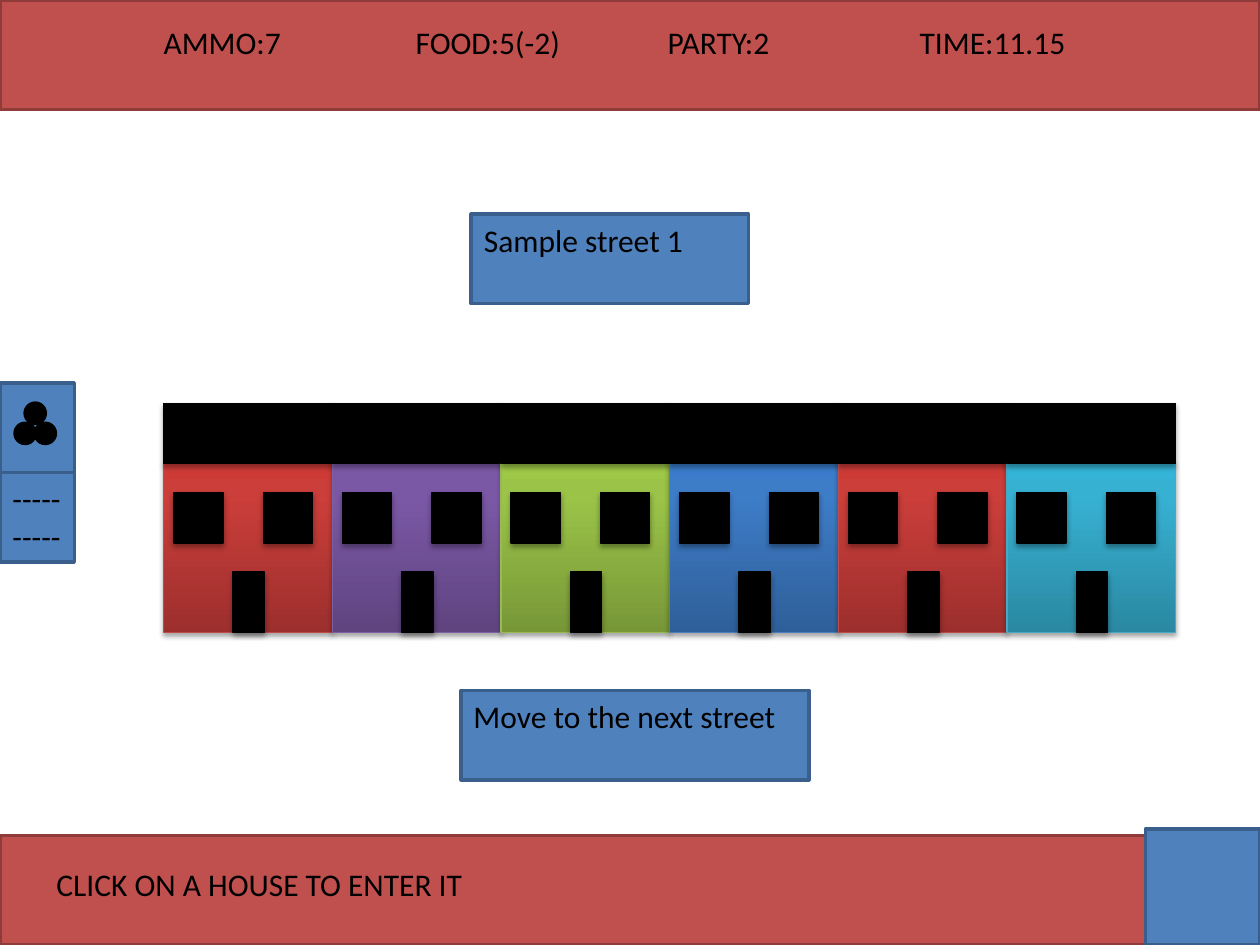
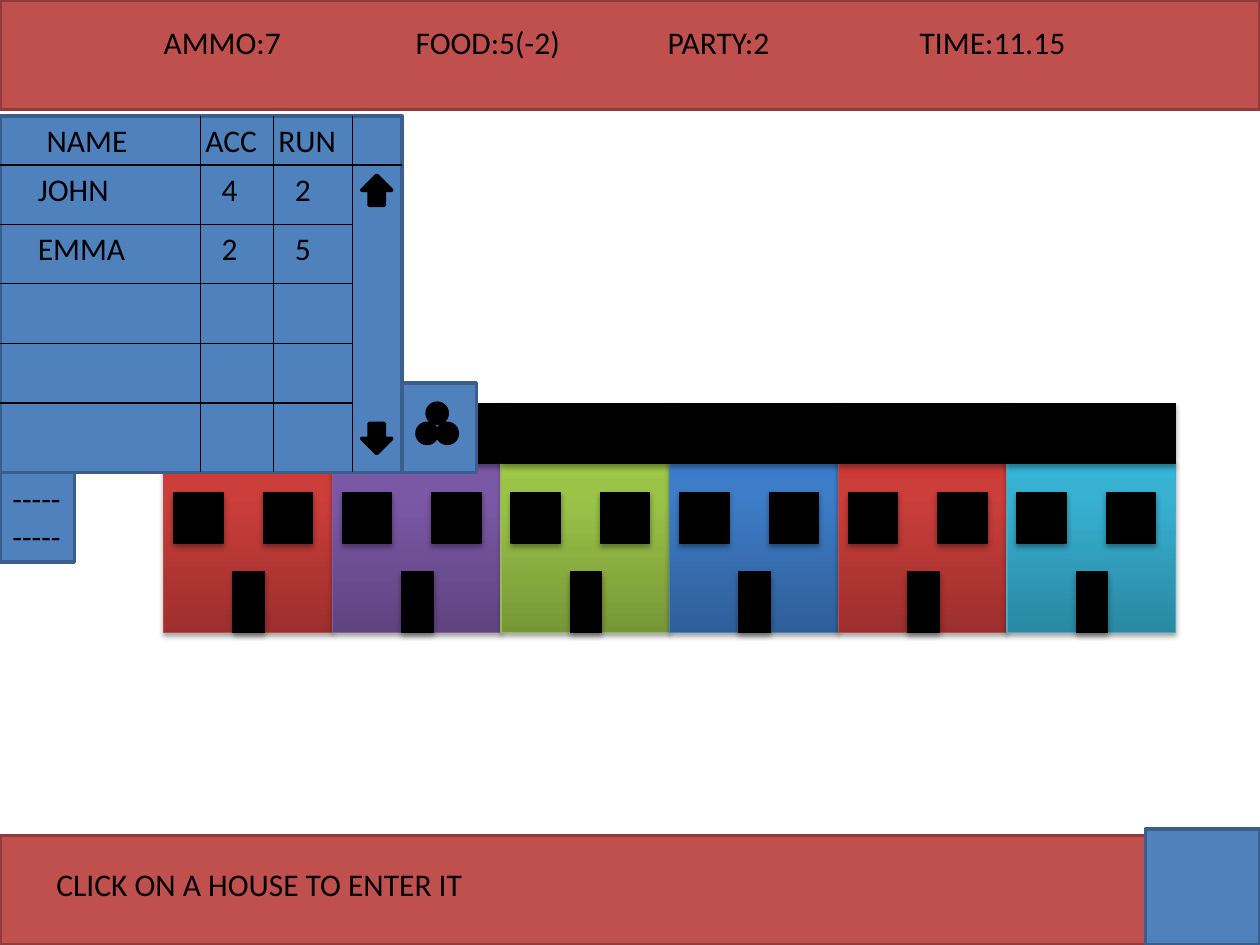
"""Two screens of a street game: the street, and the street with the party panel open."""
from dataclasses import dataclass

from lxml import etree
from pptx import Presentation
from pptx.dml.color import RGBColor
from pptx.enum.shapes import MSO_SHAPE
from pptx.enum.text import MSO_ANCHOR, MSO_AUTO_SIZE, PP_ALIGN
from pptx.oxml.ns import qn
from pptx.util import Inches, Pt

RECTANGLE, OVAL = MSO_SHAPE.RECTANGLE, MSO_SHAPE.OVAL
UP_ARROW, DOWN_ARROW = MSO_SHAPE.UP_ARROW, MSO_SHAPE.DOWN_ARROW
LEFT, TOP, NO_AUTOFIT = PP_ALIGN.LEFT, MSO_ANCHOR.TOP, MSO_AUTO_SIZE.NONE

SLIDE_WIDTH, SLIDE_HEIGHT = Inches(10), Inches(7.5)
GRID_COLUMNS, GRID_ROWS = 10, 7.5
TITLE_ONLY, BLANK = 5, 6
FONT, FONT_SIZE = "Calibri", 18
BLACK = "000000"


@dataclass(frozen=True)
class Box:
    """A place on the slide, in grid columns and rows."""
    left: float
    top: float
    width: float
    height: float

    def shifted(self, columns: float, rows: float = 0) -> "Box":
        """Return this box moved by columns and rows."""
        return Box(self.left + columns, self.top + rows, self.width, self.height)

    def lengths(self) -> tuple:
        """Return left, top, width and height as slide lengths."""
        return (across(self.left), down(self.top), across(self.width), down(self.height))


@dataclass(frozen=True)
class Style:
    """Fill, outline and outline width of a shape."""
    fill: str
    line: str
    weight: float = 2


@dataclass(frozen=True)
class Paint:
    """Wall colours of a house, from the ground up, and its outline."""
    ground: str
    upper: str
    eaves: str
    line: str


BAND = Style("C0504D", "8E3B39")
BUTTON = Style("4F81BD", "3A5F8C")
SYMBOL = Style(BLACK, BLACK)
HOUSE_PART = Style(BLACK, BLACK, 0.75)

RED = Paint("9C2F2D", "CB3E3A", "CE3B37", "BF4C48")
PURPLE = Paint("5F4480", "7B58A6", "7C57A8", "7D60A0")
GREEN = Paint("779737", "9BC348", "9DC746", "98B955")
BLUE = Paint("2F5F99", "3D7CC7", "3A7CCB", "4B7EBC")
TEAL = Paint("2A88A2", "37B1D2", "34B4D6", "46AAC5")
STREET = (RED, PURPLE, GREEN, BLUE, RED, TEAL)

# The first house; the others follow at a pitch of one wall
HOUSE_PITCH = 8.03 / len(STREET)
WALL = Box(1.3, 3.67, HOUSE_PITCH, 1.35)
HOUSE_PARTS = (
    Box(1.3, 3.2, HOUSE_PITCH, 0.48),  # roof
    Box(1.85, 4.54, 0.25, 0.48),  # door
    Box(2.09, 3.91, 0.39, 0.4),  # right window
    Box(1.38, 3.91, 0.39, 0.4),  # left window
)

BAND_HEIGHT = 0.87
PARTY_TAB = Box(0, 3.04, 0.59, 0.71)
LIST_TAB = PARTY_TAB.shifted(0, PARTY_TAB.height)
PANEL = Box(0, 0.92, 3.19, 2.83)
PANEL_COLUMNS = (1.59, 0.58, 0.63, 0.39)
PANEL_ROWS = (0.39, 0.47, 0.47, 0.48, 0.47, 0.55)
PARTY = (("NAME", "ACC", "RUN"), ("JOHN", "4", "2"), ("EMMA", "2", "5"))
HEADER_INDENTS = (0.37, 0.04, 0.04)
MEMBER_INDENTS = (0.3, 0.17, 0.17)
STATUS = ("AMMO:7", "FOOD:5(-2)", "PARTY:2", "TIME:11.15")


def across(columns: float) -> int:
    """Turn grid columns into a length."""
    return round(SLIDE_WIDTH * columns / GRID_COLUMNS)


def down(rows: float) -> int:
    """Turn grid rows into a length."""
    return round(SLIDE_HEIGHT * rows / GRID_ROWS)


def color(code: str) -> RGBColor:
    """Turn a hex string into a colour."""
    return RGBColor.from_string(code)


def add_element(parent, tag: str, **attributes):
    """Append a drawing element with the given attributes."""
    names = {name: str(value) for name, value in attributes.items()}
    return etree.SubElement(parent, qn(tag), names)


def add_color(parent, code: str):
    """Append a plain colour element."""
    return add_element(parent, "a:srgbClr", val=code)


def write(text_frame, text: str) -> None:
    """Set left-aligned black text in the common font."""
    text_frame.text = text
    text_frame.word_wrap = True
    for paragraph in text_frame.paragraphs:
        paragraph.alignment = LEFT
        for run in paragraph.runs:
            run.font.name, run.font.size = FONT, Pt(FONT_SIZE)
            run.font.color.rgb = color(BLACK)


def label(shape, text: str) -> None:
    """Write text at the top left inside a shape."""
    frame = shape.text_frame
    write(frame, text)
    frame.vertical_anchor, frame.auto_size = TOP, NO_AUTOFIT
    frame.margin_left, frame.margin_right = Inches(0.1), 0
    frame.margin_top = frame.margin_bottom = Inches(0.05)


def add_text(slide, box: Box, text: str):
    """Add a text box and return it."""
    shape = slide.shapes.add_textbox(*box.lengths())
    label(shape, text)
    return shape


def paint(shape, style: Style) -> None:
    """Give a shape its plain fill and outline."""
    shape.fill.solid()
    shape.fill.fore_color.rgb = color(style.fill)
    shape.line.color.rgb = color(style.line)
    shape.line.width = Pt(style.weight)


def add_block(slide, box: Box, style: Style, kind=RECTANGLE):
    """Add a painted shape without shadow and return it."""
    shape = slide.shapes.add_shape(kind, *box.lengths())
    shape.shadow.inherit = False
    paint(shape, style)
    return shape


def add_shadow(shape) -> None:
    """Let a soft shadow fall below a shape."""
    effects = shape._element.spPr.find(qn("a:effectLst"))
    shadow = add_element(effects, "a:outerShdw", blurRad=Pt(3.1), dist=Pt(1.8),
                         dir=5400000, rotWithShape=0)
    add_element(add_color(shadow, BLACK), "a:alpha", val=35000)


def shade_wall(shape, colors: Paint) -> None:
    """Replace a wall's plain fill by a gradient that rises from the ground."""
    properties = shape._element.spPr
    gradient = etree.Element(qn("a:gradFill"), rotWithShape="1")
    stops = add_element(gradient, "a:gsLst")
    for position, code in ((0, colors.ground), (80, colors.upper), (100, colors.eaves)):
        add_color(add_element(stops, "a:gs", pos=position * 1000), code)
    add_element(gradient, "a:lin", ang=16200000, scaled=0)
    properties.replace(properties.find(qn("a:solidFill")), gradient)


def draw_street(slide) -> None:
    """Draw the row of houses."""
    for number, colors in enumerate(STREET):
        offset = number * HOUSE_PITCH
        wall = add_block(slide, WALL.shifted(offset), Style(colors.ground, colors.line, 0.75))
        shade_wall(wall, colors)
        add_shadow(wall)
        for part in HOUSE_PARTS:
            add_shadow(add_block(slide, part.shifted(offset), HOUSE_PART))


def draw_bands(slide) -> None:
    """Draw the status band, the hint band and the corner button."""
    for top in (GRID_ROWS - BAND_HEIGHT, 0):
        add_block(slide, Box(0, top, GRID_COLUMNS, BAND_HEIGHT), BAND)
    add_block(slide, Box(9.09, 6.58, 0.91, 0.92), BUTTON)
    status = add_text(slide, Box(0.2, 0.13, 9.61, 0.4), "\t" + "\t".join(STATUS))
    properties = status.text_frame.paragraphs[0]._p.get_or_add_pPr()
    tabs = add_element(properties, "a:tabLst")
    for number in range(len(STATUS)):
        add_element(tabs, "a:tab", pos=across(1 + 2 * number), algn="l")
    add_text(slide, Box(0.35, 6.82, 5.83, 0.4), "CLICK ON A HOUSE TO ENTER IT")


def draw_tabs(slide, party_left: float) -> None:
    """Draw the party tab with its three heads, and the list tab."""
    tab = PARTY_TAB.shifted(party_left)
    add_block(slide, tab, BUTTON)
    for columns, rows in ((0.2, 0.16), (0.28, 0.32), (0.12, 0.32)):
        head = Box(tab.left + columns, tab.top + rows, 0.16, 0.16)
        add_block(slide, head, SYMBOL, OVAL)
    label(add_block(slide, LIST_TAB, BUTTON), "-----\n-----")


def rule_cell(cell, row: int, column: int) -> None:
    """Draw a cell's inner borders and hide its outer ones."""
    last_row, last_column = len(PANEL_ROWS) - 1, len(PANEL_COLUMNS) - 1
    scroll_bar = column == last_column
    borders = {
        "a:lnL": column > 0,
        "a:lnR": not scroll_bar,
        "a:lnT": row == 1 if scroll_bar else row > 0,
        "a:lnB": row == 0 if scroll_bar else row < last_row,
    }
    properties = cell._tc.get_or_add_tcPr()
    for position, (tag, visible) in enumerate(borders.items()):
        border = etree.Element(qn(tag), w=str(Pt(0.75)))
        if visible:
            add_color(add_element(border, "a:solidFill"), BLACK)
        else:
            add_element(border, "a:noFill")
        properties.insert(position, border)


def draw_party_panel(slide) -> None:
    """Draw the party table on its panel, with scroll arrows."""
    add_block(slide, PANEL, BUTTON)
    table = slide.shapes.add_table(
        len(PANEL_ROWS), len(PANEL_COLUMNS), *PANEL.lengths()).table
    table.first_row = table.horz_banding = False
    for column, width in zip(table.columns, PANEL_COLUMNS):
        column.width = across(width)
    for row, height in zip(table.rows, PANEL_ROWS):
        row.height = down(height)
    for row in range(len(PANEL_ROWS)):
        for column in range(len(PANEL_COLUMNS)):
            cell = table.cell(row, column)
            cell.fill.background()
            cell.margin_left = cell.margin_right = cell.margin_bottom = 0
            cell.margin_top = Inches(0.05)
            rule_cell(cell, row, column)
    for row, values in enumerate(PARTY):
        indents = MEMBER_INDENTS if row else HEADER_INDENTS
        for column, (value, indent) in enumerate(zip(values, indents)):
            cell = table.cell(row, column)
            cell.margin_left = across(indent)
            write(cell.text_frame, value)
    scroll_column = len(PANEL_COLUMNS) - 1
    table.cell(1, scroll_column).merge(table.cell(len(PANEL_ROWS) - 1, scroll_column))
    for top, kind in ((1.39, UP_ARROW), (3.36, DOWN_ARROW)):
        add_block(slide, Box(2.87, top, 0.24, 0.24), SYMBOL, kind)


def add_screen(presentation, layout: int):
    """Add a slide with the bands and the street, and return it."""
    slide = presentation.slides.add_slide(presentation.slide_layouts[layout])
    draw_bands(slide)
    draw_street(slide)
    return slide


def build_street(presentation) -> None:
    """Build the street screen with its title and the way on."""
    slide = add_screen(presentation, TITLE_ONLY)
    title = slide.shapes.title
    title.left, title.top, title.width, title.height = Box(3.74, 1.7, 2.2, 0.71).lengths()
    paint(title, BUTTON)
    label(title, "Sample street 1")
    draw_tabs(slide, 0)
    label(add_block(slide, Box(3.66, 5.48, 2.76, 0.71), BUTTON), "Move to the next street")


def build_party(presentation) -> None:
    """Build the street screen with the party panel open."""
    slide = add_screen(presentation, BLANK)
    draw_tabs(slide, PANEL.width)
    draw_party_panel(slide)


def main() -> None:
    """Build both screens and save them."""
    presentation = Presentation()
    presentation.slide_width, presentation.slide_height = SLIDE_WIDTH, SLIDE_HEIGHT
    build_street(presentation)
    build_party(presentation)
    presentation.save("out.pptx")


main()
